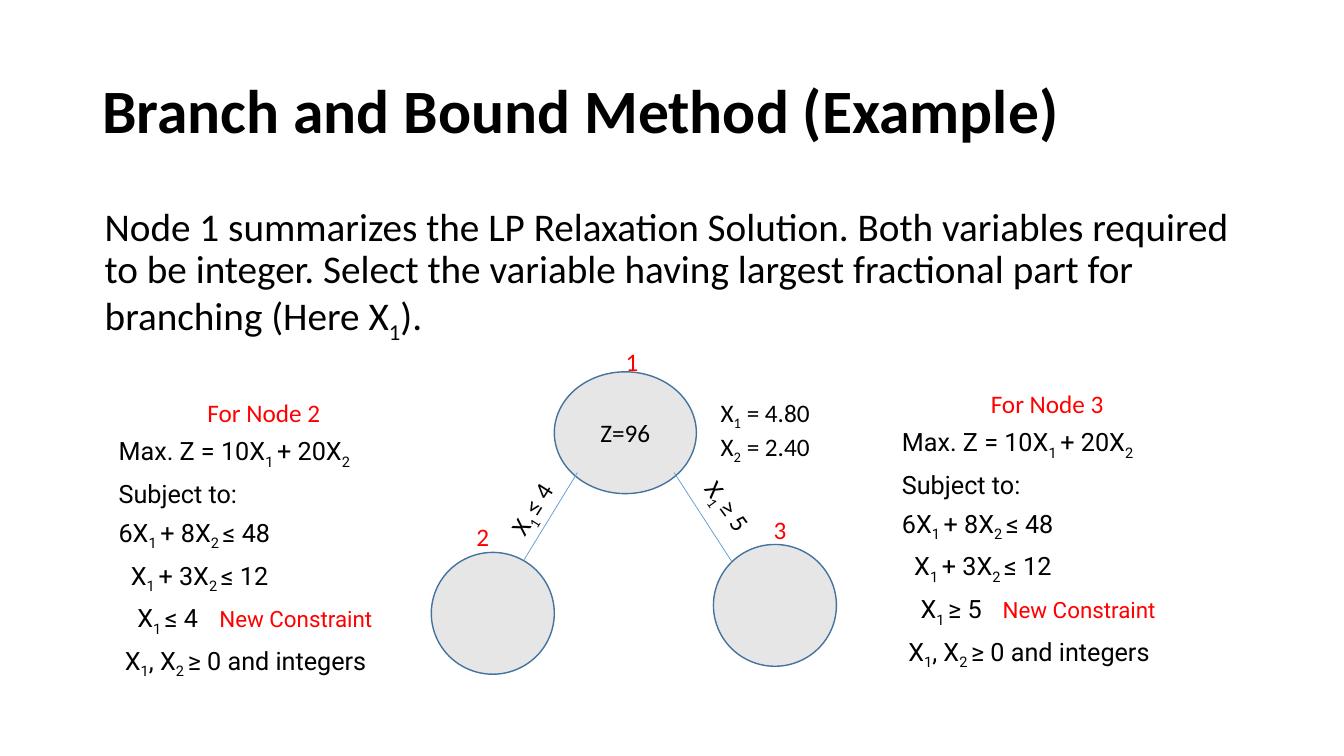
from pptx import Presentation
from pptx.dml.color import RGBColor
from pptx.enum.shapes import MSO_CONNECTOR, MSO_SHAPE
from pptx.enum.text import MSO_ANCHOR, PP_ALIGN
from pptx.oxml.ns import qn
from pptx.util import Cm, Pt
from lxml.etree import SubElement

BLACK = RGBColor(0x00, 0x00, 0x00)
RED = RGBColor(0xFF, 0x00, 0x00)
NODE_FILL = RGBColor(0xE7, 0xE6, 0xE6)
NODE_LINE = RGBColor(0x43, 0x73, 0x9E)
BRANCH_LINE = RGBColor(0x5B, 0x9B, 0xD5)


class TreeSlide:
    heading_font = "Calibri"
    model_font = "Roboto"

    def __init__(self, slide):
        self.shapes = slide.shapes

    def add_runs(self, paragraph, marked, size=18, color=BLACK, font=heading_font, bold=False):
        for index, piece in enumerate(marked.split("_")):
            if not piece:
                continue
            run = paragraph.add_run()
            run.text = piece
            run.font.name = font
            run.font.size = Pt(size)
            run.font.color.rgb = color
            run.font.bold = bold
            if index % 2:
                run.font._element.set("baseline", "-25000")

    def text(self, box, lines, align=PP_ALIGN.LEFT, anchor=MSO_ANCHOR.TOP,
             rotation=0, spacing=1.0, before=0, **style):
        holder = self.shapes.add_textbox(*map(Cm, box))
        holder.rotation = rotation
        frame = holder.text_frame
        frame.word_wrap = True
        frame.vertical_anchor = anchor
        for index, line in enumerate(lines):
            paragraph = frame.add_paragraph() if index else frame.paragraphs[0]
            paragraph.alignment = align
            paragraph.line_spacing = spacing
            paragraph.space_before = Pt(before)
            self.add_runs(paragraph, line, **style)
        return frame

    def node(self, box, value=""):
        circle = self.shapes.add_shape(MSO_SHAPE.OVAL, *map(Cm, box))
        circle.shadow.inherit = False
        circle.fill.solid()
        circle.fill.fore_color.rgb = NODE_FILL
        circle.line.color.rgb = NODE_LINE
        circle.line.width = Pt(1)
        if value:
            frame = circle.text_frame
            frame.vertical_anchor = MSO_ANCHOR.MIDDLE
            frame.paragraphs[0].alignment = PP_ALIGN.CENTER
            self.add_runs(frame.paragraphs[0], value)

    def number(self, left, top, label):
        self.text((left, top, 2.54, 1.02), [label], align=PP_ALIGN.CENTER, color=RED)

    def branch(self, start, end):
        edge = self.shapes.add_connector(MSO_CONNECTOR.STRAIGHT, *map(Cm, start + end))
        edge.line.color.rgb = BRANCH_LINE
        edge.line.width = Pt(0.5)
        SubElement(edge._element.spPr, qn("a:effectLst"))

    def model(self, left, top, heading, constraint):
        frame = self.text((left, top, 7.82, 6.93), [heading], align=PP_ALIGN.CENTER, color=RED)
        rows = [
            ("Max. Z = 10X_1 _+ 20X_2_", 0),
            ("Subject to:", 0),
            ("6X_1 _+ 8X_2 _≤ 48", 0),
            ("X_1 _+ 3X_2 _≤ 12", 0.31),
            (constraint, 0.47),
            ("X_1_, X_2 _≥ 0 and integers", 0.16),
        ]
        for row, indent in rows:
            paragraph = frame.add_paragraph()
            paragraph.space_before = Pt(6)
            properties = paragraph._p.get_or_add_pPr()
            properties.set("marL", "0")
            properties.set("indent", str(Cm(indent)))
            self.add_runs(paragraph, row, font=self.model_font)
            if row == constraint:
                stops = SubElement(properties, qn("a:tabLst"))
                SubElement(stops, qn("a:tab"), pos=str(Cm(2.85)), algn="l")
                self.add_runs(paragraph, "\tNew Constraint", 16, RED, self.model_font)


def main():
    deck = Presentation()
    deck.slide_width, deck.slide_height = Cm(33.87), Cm(19.05)
    tree = TreeSlide(deck.slides.add_slide(deck.slide_layouts[6]))

    tree.text((2.33, 1.02, 29.21, 3.68), ["Branch and Bound Method (Example)"],
              anchor=MSO_ANCHOR.MIDDLE, spacing=0.9, size=44, bold=True)
    tree.text((2.39, 5.11, 29.21, 4), [
        "Node 1 summarizes the LP Relaxation Solution. Both variables required to be integer. "
        "Select the variable having largest fractional part for branching (Here X_1_)."
    ], spacing=0.9, before=10, size=28)

    tree.node((13.97, 9.37, 3.58, 3.07), "Z=96")
    tree.branch((14.55, 11.91), (13.21, 14.1))
    tree.branch((16.99, 11.91), (18.44, 14.15))
    tree.text((12.34, 12.12, 2.34, 1.02), ["X_1 _≤ 4"], rotation=302.5)
    tree.text((17.37, 12.29, 2.03, 1.02), ["X_1 _≥ 5"], rotation=53.9)
    tree.text((17.91, 9.88, 4.11, 1.8), ["X_1_ = 4.80", "X_2_ = 2.40"])
    tree.node((10.87, 13.92, 3.1, 3.07))
    tree.node((17.98, 13.72, 3.1, 3.07))
    tree.number(14.66, 8.61, "1")
    tree.number(10.9, 13, "2")
    tree.number(18.39, 12.83, "3")

    tree.model(2.74, 9.88, "For Node 2", "X_1 _≤ 4")
    tree.model(22.48, 9.65, "For Node 3", "X_1 _≥ 5")
    deck.save("out.pptx")


if __name__ == "__main__":
    main()
